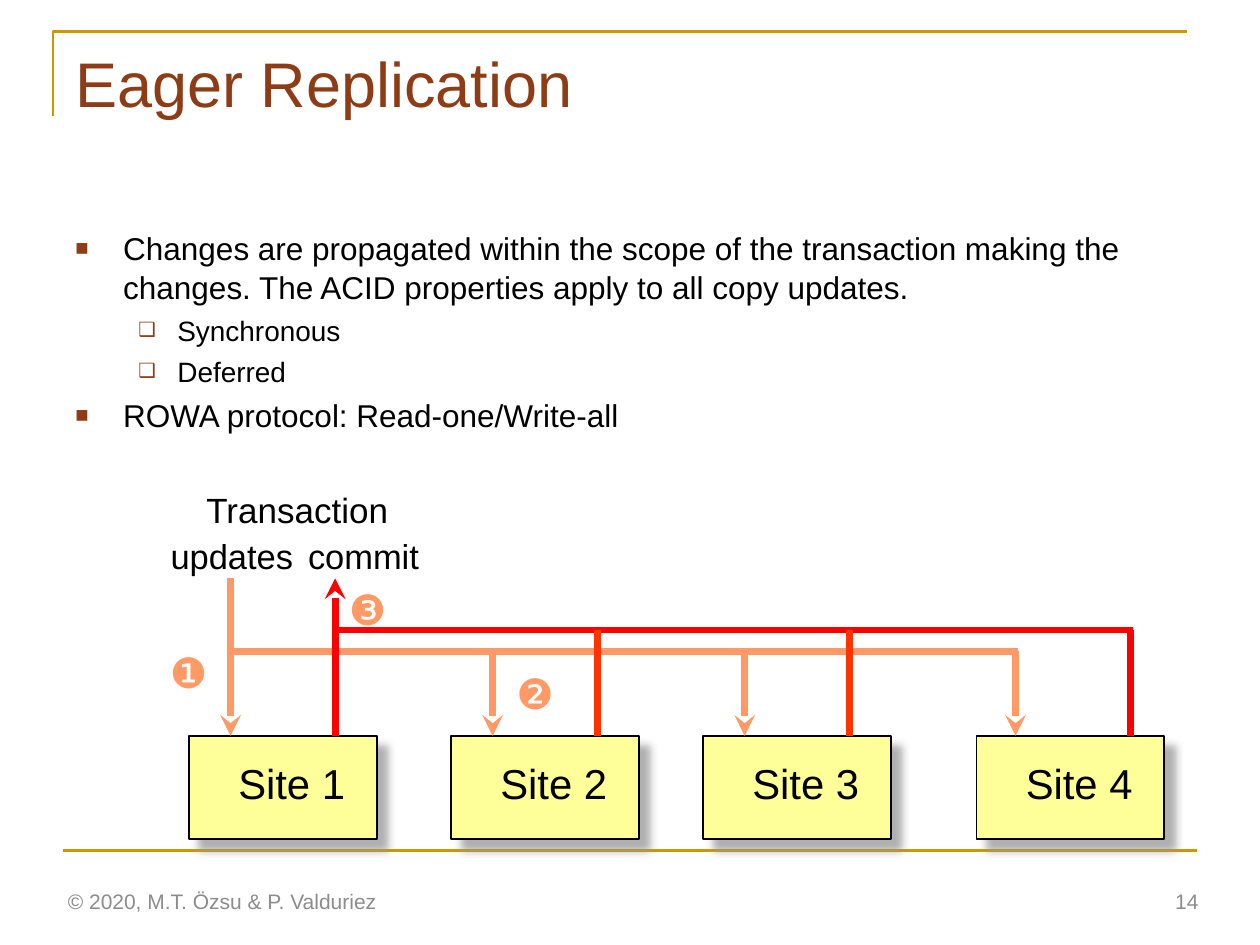
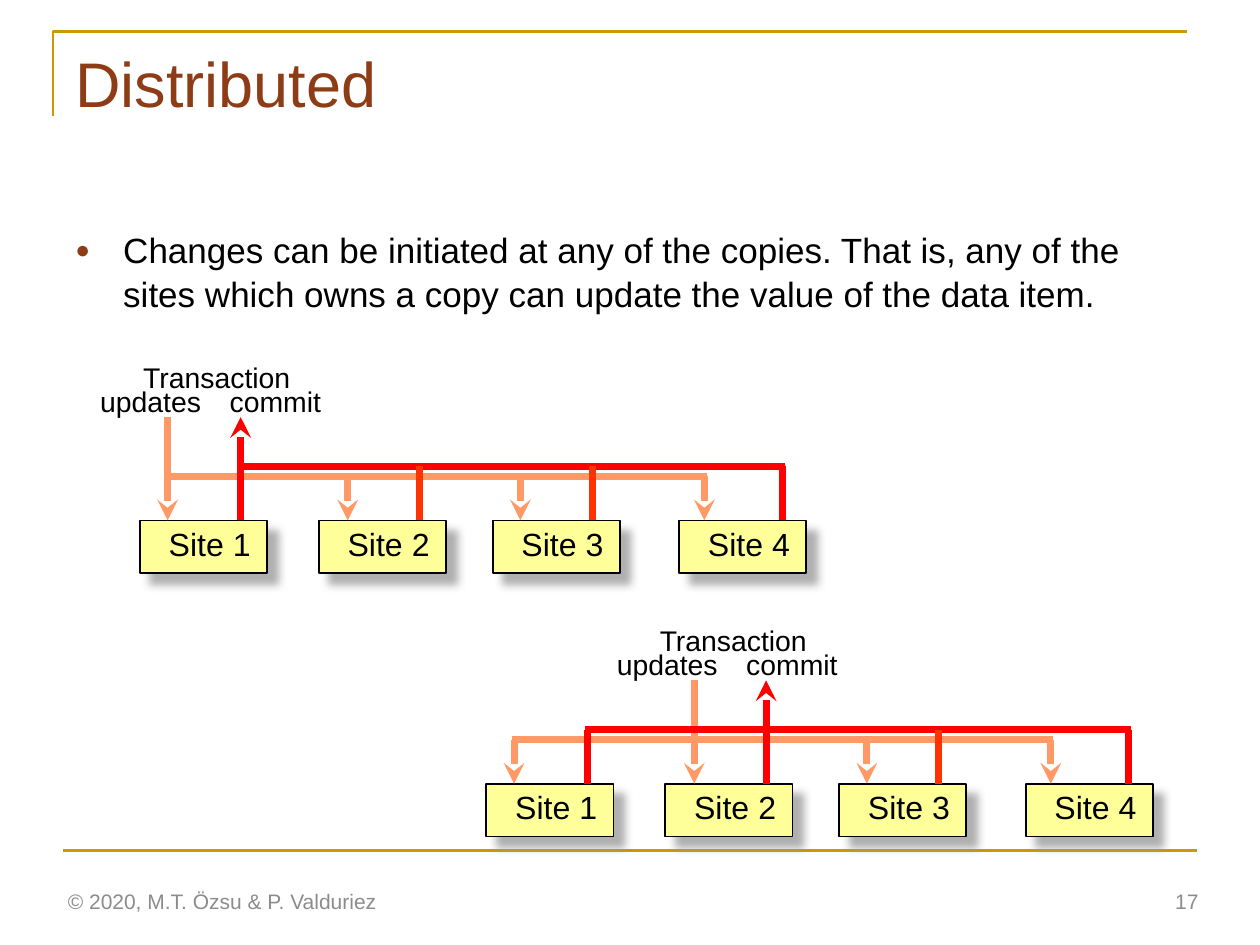
from dataclasses import dataclass
from typing import NamedTuple

from lxml import etree
from pptx import Presentation
from pptx.dml.color import RGBColor
from pptx.enum.shapes import MSO_CONNECTOR, MSO_SHAPE
from pptx.enum.text import MSO_ANCHOR, PP_ALIGN
from pptx.oxml.ns import qn
from pptx.util import Inches, Pt

LEFT, CENTER, RIGHT = PP_ALIGN.LEFT, PP_ALIGN.CENTER, PP_ALIGN.RIGHT
TOP, MIDDLE = MSO_ANCHOR.TOP, MSO_ANCHOR.MIDDLE
STRAIGHT, RECTANGLE = MSO_CONNECTOR.STRAIGHT, MSO_SHAPE.RECTANGLE


@dataclass(frozen=True)
class Theme:
    font: str = "Arial"
    ink: str = "000000"
    heading: str = "8D3C15"
    rule: str = "CC9900"
    muted: str = "8C8C8C"
    site_fill: str = "FFFF99"
    shadow: str = "969696"
    update: str = "FF9966"
    commit: str = "FF0000"
    copy_commit: str = "FF3300"
    title_size: float = 36
    footer_size: float = 12
    step_size: float = 23.9
    rule_width: float = 1.5
    flow_width: float = 4


THEME = Theme()
FOOTER = "© 2020, M.T. Özsu & P. Valduriez"


class Box(NamedTuple):
    left: float
    top: float
    width: float
    height: float

    def lengths(self) -> list:
        return [Inches(side) for side in self]


class Point(NamedTuple):
    x: float
    y: float


class Bullet(NamedTuple):
    text: str
    size: float
    mark: str = "■"
    margin: float = 0.38
    hanging: float = 0.38


class Site(NamedTuple):
    """Left edge of a site box, and where its update and commit lines meet it."""
    left: float
    update_x: float
    commit_x: float

    def moved(self, dx: float) -> "Site":
        return Site(*(x + dx for x in self))


class Caption(NamedTuple):
    """A word placed relative to the caption's left edge and the site tops."""
    text: str
    dx: float
    rise: float
    width: float
    size: float


@dataclass(frozen=True)
class DiagramStyle:
    """Sizes of a diagram; rises are heights above the tops of the sites."""
    site_width: float
    site_height: float
    label_size: float
    label_shift: float
    trunk_rise: float
    commit_rise: float
    update_rise: float
    captions: tuple


@dataclass(frozen=True)
class Diagram:
    style: DiagramStyle
    sites: list
    top: float
    caption_left: float
    origin: int = 0


LARGE = DiagramStyle(1.49, 0.82, 23.9, 0.14, 1.25, 0.84, 0.67, (
    Caption("Transaction", 0.28, 2.01, 1.66, 20),
    Caption("updates", 0, 1.64, 1.18, 19.7),
    Caption("commit", 1.07, 1.64, 1.13, 19.7),
))
SMALL = DiagramStyle(1.01, 0.42, 18.3, 0.1, 0.82, 0.43, 0.35, (
    Caption("Transaction", 0.34, 1.32, 1.38, 16.2),
    Caption("updates", 0, 1.13, 1.01, 16.2),
    Caption("commit", 1.01, 1.13, 0.97, 16.2),
))

EAGER_SITES = [Site(1.5, 1.83, 2.66), Site(3.58, 3.91, 4.74),
               Site(5.58, 5.91, 6.74), Site(7.75, 8.06, 8.97)]
COPY_SITES = [Site(1.11, 1.33, 1.91), Site(2.53, 2.76, 3.33),
              Site(3.91, 4.13, 4.7), Site(5.39, 5.59, 6.21)]

EAGER = Diagram(LARGE, EAGER_SITES, 5.84, 1.25)
FROM_SITE_1 = Diagram(SMALL, COPY_SITES, 4.13, 0.69)
FROM_SITE_2 = Diagram(SMALL, [site.moved(2.75) for site in COPY_SITES],
                      6.22, 4.79, origin=1)
STEPS = {"❶": Point(1.25, 5.08), "❷": Point(4, 5.25), "❸": Point(2.67, 4.58)}


def rgb(color: str) -> RGBColor:
    return RGBColor.from_string(color)


def set_run(paragraph, text: str, size: float, color: str) -> None:
    run = paragraph.add_run()
    run.text = text
    run.font.name = THEME.font
    run.font.size = Pt(size)
    run.font.color.rgb = rgb(color)


def write(slide, text: str, box: Box, *, size: float, color: str = THEME.ink,
          align=LEFT, anchor=TOP, wrap: bool = True) -> None:
    frame = slide.shapes.add_textbox(*box.lengths()).text_frame
    frame.word_wrap = wrap
    frame.vertical_anchor = anchor
    frame.paragraphs[0].alignment = align
    set_run(frame.paragraphs[0], text, size, color)


def write_bullets(slide, box: Box, bullets: list) -> None:
    frame = slide.shapes.add_textbox(*box.lengths()).text_frame
    frame.word_wrap = True
    for index, bullet in enumerate(bullets):
        paragraph = frame.add_paragraph() if index else frame.paragraphs[0]
        paragraph.line_spacing = 1.05
        paragraph.space_before = Pt(bullet.size * 0.2)
        set_run(paragraph, bullet.text, bullet.size, THEME.ink)
        properties = paragraph._p.get_or_add_pPr()
        properties.set("marL", str(Inches(bullet.margin)))
        properties.set("indent", str(-Inches(bullet.hanging)))
        color = etree.SubElement(properties, qn("a:buClr"))
        etree.SubElement(color, qn("a:srgbClr"), val=THEME.heading)
        etree.SubElement(properties, qn("a:buSzPct"), val="70000")
        etree.SubElement(properties, qn("a:buFont"), typeface=THEME.font)
        etree.SubElement(properties, qn("a:buChar"), char=bullet.mark)


def draw_line(slide, start: Point, end: Point, color: str,
              width: float = THEME.flow_width, arrow: bool = False) -> None:
    line = slide.shapes.add_connector(
        STRAIGHT, *(Inches(value) for value in (*start, *end)))
    line.line.color.rgb = rgb(color)
    line.line.width = Pt(width)
    if arrow:
        etree.SubElement(line.line._get_or_add_ln(), qn("a:tailEnd"), type="stealth")
    etree.SubElement(line._element.spPr, qn("a:effectLst"))


def add_drop_shadow(shape) -> None:
    shape.shadow.inherit = False
    effects = shape._element.spPr.find(qn("a:effectLst"))
    shadow = etree.SubElement(
        effects, qn("a:outerShdw"), blurRad=str(Pt(5)), dist=str(Pt(8.5)),
        dir=str(45 * 60000), algn="ctr", rotWithShape="0")
    color = etree.SubElement(shadow, qn("a:srgbClr"), val=THEME.shadow)
    etree.SubElement(color, qn("a:alpha"), val="75000")


def draw_site(slide, name: str, box: Box, style: DiagramStyle) -> None:
    site = slide.shapes.add_shape(RECTANGLE, *box.lengths())
    site.fill.solid()
    site.fill.fore_color.rgb = rgb(THEME.site_fill)
    site.line.color.rgb = rgb(THEME.ink)
    site.line.width = Pt(1)
    add_drop_shadow(site)
    frame = site.text_frame
    frame.word_wrap = False
    frame.vertical_anchor = MIDDLE
    frame.margin_left = Inches(style.label_shift)
    frame.margin_right = frame.margin_top = 0
    frame.margin_bottom = Inches(style.label_shift / 2)
    frame.paragraphs[0].alignment = CENTER
    set_run(frame.paragraphs[0], name, style.label_size, THEME.ink)


def draw_bus(slide, xs: list, y: float, color: str) -> None:
    """Horizontal line that covers the full width of the lines it joins."""
    overhang = 0.02
    draw_line(slide, Point(min(xs) - overhang, y), Point(max(xs) + overhang, y), color)


def draw_diagram(slide, diagram: Diagram) -> None:
    style, sites, top = diagram.style, diagram.sites, diagram.top
    trunk_y = top - style.trunk_rise
    update_y = top - style.update_rise
    commit_y = top - style.commit_rise

    for number, site in enumerate(sites, start=1):
        draw_site(slide, f"Site {number}",
                  Box(site.left, top, style.site_width, style.site_height), style)

    draw_bus(slide, [site.update_x for site in sites], update_y, THEME.update)
    for index, site in enumerate(sites):
        start_y = trunk_y if index == diagram.origin else update_y
        draw_line(slide, Point(site.update_x, start_y), Point(site.update_x, top),
                  THEME.update, arrow=True)

    draw_bus(slide, [site.commit_x for site in sites], commit_y, THEME.commit)
    for index, site in enumerate(sites):
        at_origin = index == diagram.origin
        main = at_origin or index in (0, len(sites) - 1)
        end_y = trunk_y if at_origin else commit_y
        draw_line(slide, Point(site.commit_x, top), Point(site.commit_x, end_y),
                  THEME.commit if main else THEME.copy_commit, arrow=at_origin)

    for caption in style.captions:
        box = Box(diagram.caption_left + caption.dx, top - caption.rise,
                  caption.width, 0.43)
        write(slide, caption.text, box, size=caption.size, align=CENTER, wrap=False)


def draw_title_corner(slide) -> None:
    builder = slide.shapes.build_freeform(Inches(0.42), Inches(0.92))
    builder.add_line_segments([(Inches(0.42), Inches(0.25)),
                               (Inches(9.42), Inches(0.25))], close=False)
    corner = builder.convert_to_shape()
    corner.fill.background()
    corner.line.color.rgb = rgb(THEME.rule)
    corner.line.width = Pt(THEME.rule_width)
    corner.shadow.inherit = False


def add_slide(deck, title: str, number: int):
    """Add a slide with the shared rules, title and footer."""
    slide = deck.slides.add_slide(deck.slide_layouts[6])
    draw_title_corner(slide)
    draw_line(slide, Point(0.5, 6.75), Point(9.5, 6.75), THEME.rule, THEME.rule_width)
    write(slide, title, Box(0.5, 0.3, 9, 1.25),
          size=THEME.title_size, color=THEME.heading)
    footer = {"size": THEME.footer_size, "color": THEME.muted, "anchor": MIDDLE}
    write(slide, FOOTER, Box(0.44, 6.95, 3.38, 0.4), **footer)
    write(slide, str(number), Box(7.36, 6.95, 2.25, 0.4), align=RIGHT, **footer)
    return slide


def add_eager_replication(deck) -> None:
    slide = add_slide(deck, "Eager Replication", 14)
    write_bullets(slide, Box(0.5, 1.75, 9, 1.99), [
        Bullet("Changes are propagated within the scope of the transaction making "
               "the changes. The ACID properties apply to all copy updates.", 18),
        *(Bullet(timing, 16, "❑", 0.81, 0.31) for timing in ("Synchronous", "Deferred")),
        Bullet("ROWA protocol: Read-one/Write-all", 18),
    ])
    draw_diagram(slide, EAGER)
    for step, place in STEPS.items():
        write(slide, step, Box(*place, 0.5, 0.5), size=THEME.step_size,
              color=THEME.update, wrap=False)


def add_distributed(deck) -> None:
    slide = add_slide(deck, "Distributed", 17)
    write_bullets(slide, Box(0.5, 1.75, 9, 0.87), [
        Bullet("Changes can be initiated at any of the copies. That is, any of the "
               "sites which owns a copy can update the value of the data item.", 20, "●"),
    ])
    for diagram in (FROM_SITE_1, FROM_SITE_2):
        draw_diagram(slide, diagram)


def main() -> None:
    deck = Presentation()
    deck.slide_width, deck.slide_height = Inches(10), Inches(7.5)
    add_eager_replication(deck)
    add_distributed(deck)
    deck.save("out.pptx")


if __name__ == "__main__":
    main()
